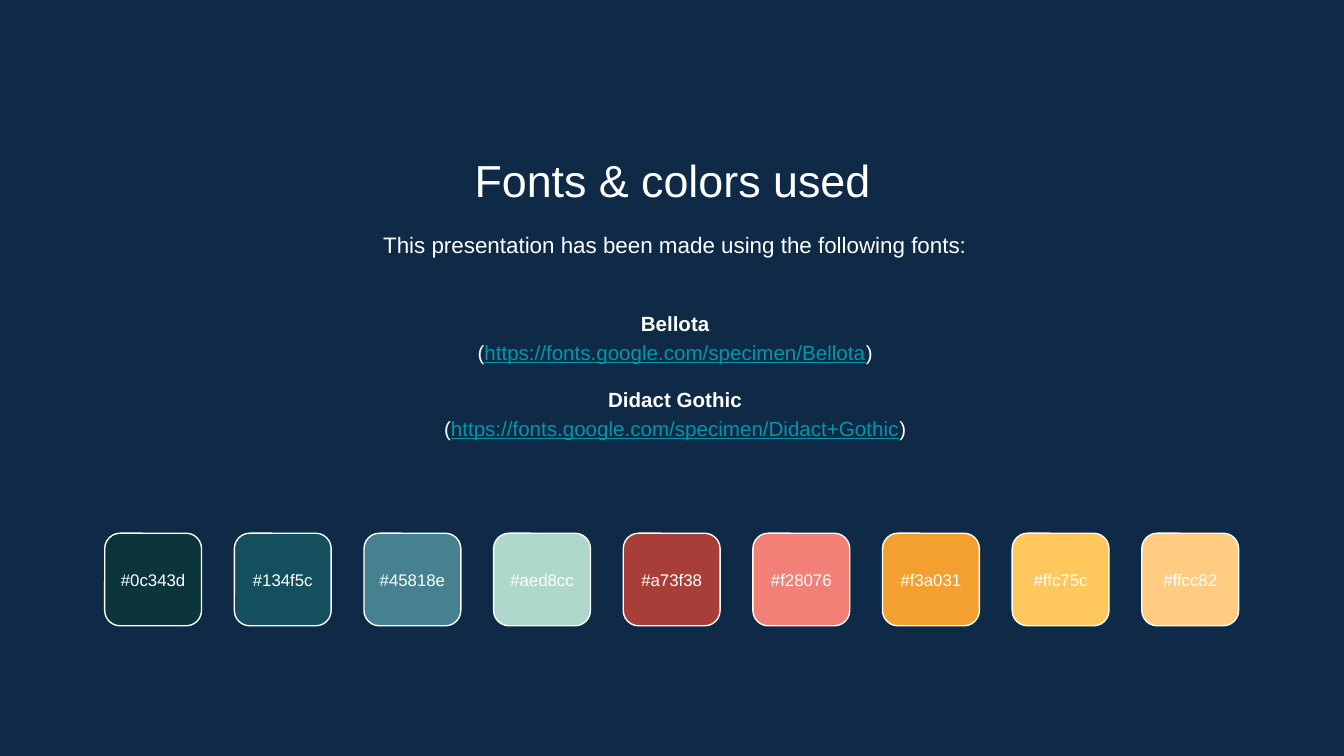
from pptx import Presentation
from pptx.dml.color import RGBColor
from pptx.enum.shapes import MSO_SHAPE
from pptx.enum.text import MSO_ANCHOR, PP_ALIGN
from pptx.util import Cm, Pt

ROUND = MSO_SHAPE.ROUNDED_RECTANGLE
TOP, MIDDLE = MSO_ANCHOR.TOP, MSO_ANCHOR.MIDDLE
CENTER = PP_ALIGN.CENTER
FONT = "Arial"
WHITE, NAVY, TEAL = "FFFFFF", "0E2A47", "0097A7"
WIDTH = 19.58
SWATCHES = ["#0c343d", "#134f5c", "#45818e", "#aed8cc", "#a73f38",
            "#f28076", "#f3a031", "#ffc75c", "#ffcc82"]
FONTS = [("Bellota", "https://fonts.google.com/specimen/Bellota"),
         ("Didact Gothic", "https://fonts.google.com/specimen/Didact+Gothic")]


def color(code):
    """Turn a hex string into a colour."""
    return RGBColor.from_string(code.lstrip("#").upper())


def set_font(font, size, code=WHITE):
    """Set the typeface, size and colour of a font."""
    font.name = FONT
    font.size = Pt(size)
    font.color.rgb = color(code)


def set_frame(frame, inset, anchor):
    """Set equal insets, wrapping and the anchor of a text frame."""
    frame.margin_left = frame.margin_right = Cm(inset)
    frame.margin_top = frame.margin_bottom = Cm(inset)
    frame.word_wrap = True
    frame.vertical_anchor = anchor


def add_box(slide, left, top, height, anchor=TOP):
    """Add a wide text box and return its frame."""
    box = slide.shapes.add_textbox(Cm(left), Cm(top), Cm(WIDTH), Cm(height))
    set_frame(box.text_frame, 0.25, anchor)
    return box.text_frame


def write_line(para, text, size, spacing=1.0):
    """Write a centred line of white text."""
    para.text = text
    para.alignment = CENTER
    para.line_spacing = spacing
    for run in para.runs:
        set_font(run.font, size)


def add_run(para, text, size, code=WHITE):
    """Append a run to a paragraph and return it."""
    run = para.add_run()
    run.text = text
    set_font(run.font, size, code)
    return run


def add_fonts(slide):
    """List each font name above its address."""
    frame = add_box(slide, 2.97, 5.33, 3.48, MIDDLE)
    for i, (name, link) in enumerate(FONTS):
        head = frame.add_paragraph() if i else frame.paragraphs[0]
        write_line(head, name, 11, 1.15)
        head.runs[0].font.bold = True
        if i:
            head.space_before = Pt(10.5)
        line = frame.add_paragraph()
        write_line(line, "(", 11, 1.15)
        add_run(line, link, 11, TEAL).font.underline = True
        add_run(line, ")", 11)


def add_swatch(slide, left, code):
    """Add a rounded swatch labelled with its colour code."""
    shape = slide.shapes.add_shape(ROUND, Cm(left), Cm(10.08), Cm(1.83), Cm(1.75))
    shape.shadow.inherit = False
    shape.fill.solid()
    shape.fill.fore_color.rgb = color(code)
    shape.line.color.rgb = color(WHITE)
    shape.line.width = Pt(0.75)
    set_frame(shape.text_frame, 0, MIDDLE)
    write_line(shape.text_frame.paragraphs[0], code, 9)


def main():
    """Build and save the slide."""
    deck = Presentation()
    deck.slide_width, deck.slide_height = Cm(25.4), Cm(14.29)
    slide = deck.slides.add_slide(deck.slide_layouts[6])
    slide.background.fill.solid()
    slide.background.fill.fore_color.rgb = color(NAVY)

    title = add_box(slide, 2.92, 2.64, 1.35)
    write_line(title.paragraphs[0], "Fonts & colors used", 24)
    intro = add_box(slide, 2.97, 4.04, 1.22)
    write_line(intro.paragraphs[0],
               "This presentation has been made using the following fonts:", 12, 1.15)
    add_fonts(slide)
    for i, code in enumerate(SWATCHES):
        add_swatch(slide, 1.98 + i * 2.45, code)
    deck.save("out.pptx")


if __name__ == "__main__":
    main()
